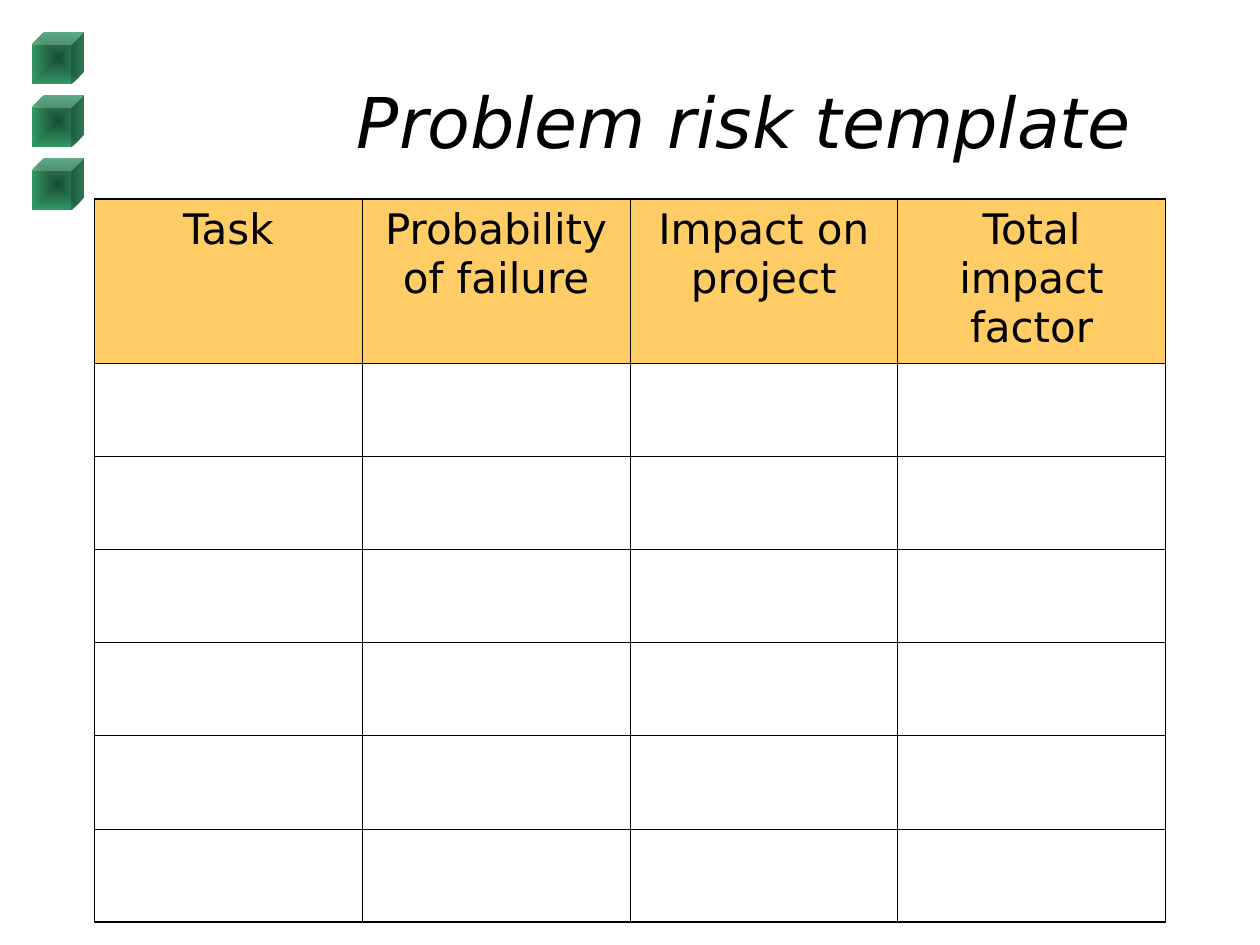
from lxml.etree import SubElement
from pptx import Presentation
from pptx.dml.color import RGBColor
from pptx.enum.shapes import MSO_SHAPE
from pptx.enum.text import MSO_ANCHOR, PP_ALIGN
from pptx.oxml import parse_xml
from pptx.oxml.ns import nsdecls, qn
from pptx.util import Emu, Pt

SCALE = 9144  # 100 px to the inch
TITLE = {"size": Pt(40), "italic": True}
HEAD = {"size": Pt(24), "italic": False}
LABELS = ["Task", "Probability of failure", "Impact on project", "Total impact factor"]
ROWS = [130] + [74] * 6


def px(num):
    return Emu(num * SCALE)


def color(code):
    return RGBColor.from_string(code)


class Deck:
    font = "DejaVu Sans"
    ink = "000000"
    gold = "FFCC66"
    dark, green = "194B32", "339966"
    thin, thick = 0.45, 1.08

    def __init__(self, wide, high):
        self.prs = Presentation()
        self.prs.slide_width, self.prs.slide_height = px(wide), px(high)
        self.slide = self.prs.slides.add_slide(self.prs.slide_layouts[6])

    def label(self, frame, text, align, form):
        para = frame.paragraphs[0]
        para.alignment = align
        run = para.add_run()
        run.text = text
        for name, value in {"name": self.font, **form}.items():
            setattr(run.font, name, value)
        run.font.color.rgb = color(self.ink)

    def cube(self, left, top, size):
        """Add a cube shaded from a dark centre to green edges."""
        cube = self.slide.shapes.add_shape(MSO_SHAPE.CUBE, *map(px, (left, top, size, size)))
        cube.shadow.inherit = False
        cube.line.fill.background()
        cube.fill.gradient()
        for stop, code in zip(cube.fill.gradient_stops, (self.dark, self.green)):
            stop.color.rgb = color(code)
        grad = cube._element.spPr.find(qn("a:gradFill"))
        grad.replace(grad.find(qn("a:lin")), parse_xml(
            f'<a:path {nsdecls("a")} path="rect">'
            '<a:fillToRect l="50000" t="50000" r="50000" b="50000"/></a:path>'))

    def title(self, text, *box):
        frame = self.slide.shapes.add_textbox(*map(px, box)).text_frame
        frame.word_wrap = True
        frame.vertical_anchor = MSO_ANCHOR.MIDDLE
        self.label(frame, text, PP_ALIGN.RIGHT, TITLE)

    def border(self, cell, outer):
        """Draw the four sides, thick where outer says so."""
        props = cell._tc.get_or_add_tcPr()
        for side, edge in zip("LRTB", outer):
            width = Pt(self.thick if edge else self.thin)
            line = SubElement(props, qn(f"a:ln{side}"), w=str(int(width)))
            fill = SubElement(line, qn("a:solidFill"))
            SubElement(fill, qn("a:srgbClr"), val=self.ink)

    def table(self, labels, rows, left, top, wide):
        cols = len(labels)
        grid = self.slide.shapes.add_table(
            len(rows), cols, *map(px, (left, top, wide, sum(rows)))).table
        grid.first_row = grid.horz_banding = False
        for col in grid.columns:
            col.width = px(wide) // cols
        for r, high in enumerate(rows):
            grid.rows[r].height = px(high)
            for c, text in enumerate(labels):
                cell = grid.cell(r, c)
                self.border(cell, (c == 0, c == cols - 1, r == 0, r == len(rows) - 1))
                if r:
                    cell.fill.background()
                else:
                    cell.fill.solid()
                    cell.fill.fore_color.rgb = color(self.gold)
                    self.label(cell.text_frame, text, PP_ALIGN.CENTER, HEAD)


def main():
    deck = Deck(1000, 750)
    for i in range(3):
        deck.cube(25, 25 + 50 * i, 42)
    deck.title("Problem risk template ", 75, 33, 850, 125)
    deck.table(LABELS, ROWS, 75, 158, 850)
    deck.prs.save("out.pptx")


if __name__ == "__main__":
    main()
